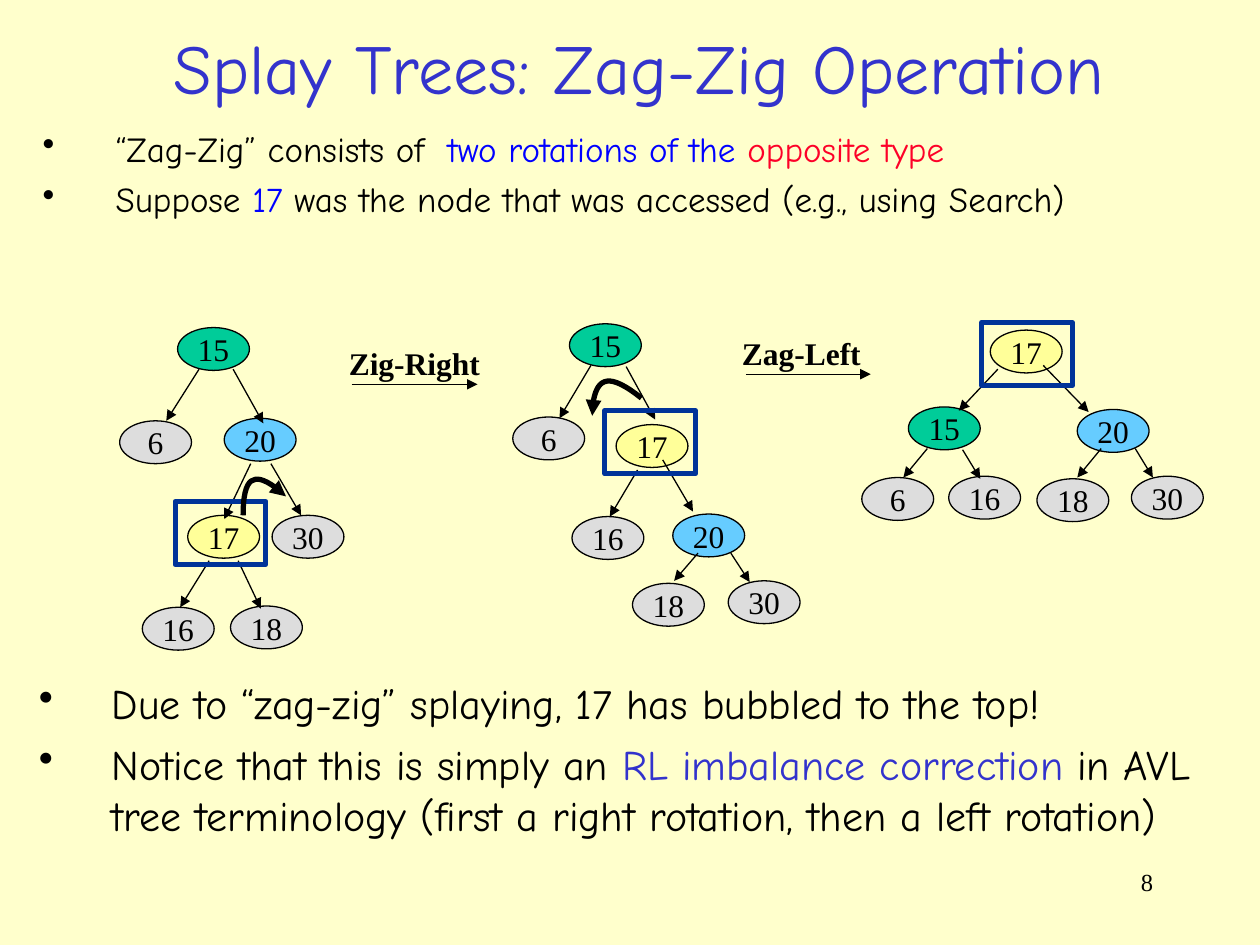
from dataclasses import dataclass
from typing import NamedTuple

from lxml.etree import SubElement
from pptx import Presentation
from pptx.dml.color import RGBColor
from pptx.enum.shapes import MSO_CONNECTOR, MSO_SHAPE
from pptx.enum.text import MSO_ANCHOR, MSO_AUTO_SIZE, PP_ALIGN
from pptx.oxml.ns import qn
from pptx.util import Emu, Pt

SCALE = 9144  # 100 px to the inch


@dataclass(frozen=True)
class Theme:
    background: str = "FFFFCC"
    ink: str = "000000"
    title: str = "3333CC"
    blue: str = "0000FF"
    red: str = "FD0128"
    focus: str = "003399"
    leaf: str = "DDDDDD"
    hand: str = "Comic Neue"
    serif: str = "Times New Roman"
    title_size: int = 40
    intro_size: int = 20
    outro_size: int = 24
    node_size: int = 18
    number_size: int = 14
    thin: float = 0.75
    thick: float = 3


T = Theme()
NODE_FILLS = {15: "00CC99", 17: "FFFF99", 20: "66CCFF"}
NODE_W, NODE_H = 57, 34
FOCUS_W, FOCUS_H = 72, 50
INDENT = 58


class Run(NamedTuple):
    text: str
    color: str = T.ink


class Node(NamedTuple):
    key: int
    x: int
    y: int


class Edge(NamedTuple):
    x1: int
    y1: int
    x2: int
    y2: int


class Tree(NamedTuple):
    nodes: list[Node]
    edges: list[Edge]
    focus: tuple[int, int]


class Step(NamedTuple):
    text: str
    box: tuple[int, int, int, int]
    arrow: Edge


class Turn(NamedTuple):
    points: list[tuple[int, int]]  # start, two controls, end
    end: str


TREES = [
    Tree([Node(15, 141, 260), Node(6, 95, 334), Node(20, 178, 332), Node(30, 216, 409),
          Node(17, 149, 409), Node(16, 113, 482), Node(18, 183, 481)],
         [Edge(158, 293, 132, 334), Edge(185, 293, 209, 336), Edge(215, 368, 239, 409),
          Edge(199, 368, 178, 412), Edge(166, 445, 143, 482), Edge(189, 445, 207, 483)],
         (139, 398)),
    Tree([Node(15, 452, 257), Node(6, 407, 331), Node(20, 534, 408), Node(30, 578, 461),
          Node(17, 489, 337), Node(16, 454, 410), Node(18, 502, 463)],
         [Edge(469, 290, 444, 332), Edge(497, 291, 520, 333), Edge(526, 365, 550, 406),
          Edge(506, 373, 484, 410), Edge(580, 439, 595, 462), Edge(554, 439, 535, 461)],
         (480, 326)),
    Tree([Node(15, 721, 323), Node(6, 684, 379), Node(20, 855, 325), Node(30, 898, 378),
          Node(17, 786, 262), Node(16, 753, 378), Node(18, 823, 380)],
         [Edge(828, 290, 864, 327), Edge(792, 293, 761, 326), Edge(901, 356, 915, 379),
          Edge(874, 356, 855, 379), Edge(736, 356, 717, 379), Edge(764, 357, 778, 380)],
         (779, 256)),
]
STEPS = [
    Step("Zig-Right", (267, 268, 124, 40), Edge(279, 305, 379, 305)),
    Step("Zag-Left", (579, 260, 114, 40), Edge(592, 297, 691, 297)),
]
TURNS = [
    Turn([(193, 409), (193, 378), (205, 373), (227, 394)], "tailEnd"),
    Turn([(470, 330), (470, 300), (484, 296), (509, 316)], "headEnd"),
]
INTRO = [
    [Run("“Zag-Zig” consists of  "), Run("two rotations of the ", T.blue),
     Run("opposite type", T.red)],
    [Run("Suppose "), Run("17 ", T.blue),
     Run("was the node that was accessed (e.g., using Search)")],
]
OUTRO = [
    [Run("Due to “zag-zig” splaying, 17 has bubbled to the top!")],
    [Run("Notice that this is simply an "), Run("RL imbalance correction", T.title),
     Run(" in AVL tree terminology (first a right rotation, then a left rotation)")],
]


def px(n: int) -> Emu:
    return Emu(n * SCALE)


def rgb(code: str) -> RGBColor:
    return RGBColor.from_string(code)


def write(sp, paragraphs: list[list[Run]], *, size: int, font: str = T.serif,
          bold: bool = False, align=PP_ALIGN.LEFT, anchor=MSO_ANCHOR.TOP,
          wrap: bool = True, before: int = 0, bullet: bool = False) -> None:
    tf = sp.text_frame
    tf.word_wrap, tf.vertical_anchor = wrap, anchor
    tf.auto_size = MSO_AUTO_SIZE.NONE
    for i, runs in enumerate(paragraphs):
        p = tf.add_paragraph() if i else tf.paragraphs[0]
        p.alignment, p.space_before = align, Pt(before)
        if bullet:
            pPr = p._p.get_or_add_pPr()
            pPr.set("marL", str(px(INDENT)))
            pPr.set("indent", str(px(-INDENT)))
            SubElement(pPr, qn("a:buChar")).set("char", "•")
        for run in runs:
            r = p.add_run()
            r.text = run.text
            r.font.size, r.font.name, r.font.bold = Pt(size), font, bold
            r.font.color.rgb = rgb(run.color)


def add_text(s, box: tuple[int, int, int, int], paragraphs: list[list[Run]], **fmt) -> None:
    write(s.shapes.add_textbox(*map(px, box)), paragraphs, **fmt)


def style(sp, fill: str | None, line: str, width: float) -> None:
    sp.shadow.inherit = False
    if fill:
        sp.fill.solid()
        sp.fill.fore_color.rgb = rgb(fill)
    else:
        sp.fill.background()
    sp.line.color.rgb, sp.line.width = rgb(line), Pt(width)


def add_head(sp, end: str) -> None:
    SubElement(sp.line._get_or_add_ln(), qn(f"a:{end}")).set("type", "triangle")


def add_arrow(s, edge: Edge) -> None:
    c = s.shapes.add_connector(MSO_CONNECTOR.STRAIGHT, *map(px, edge))
    c.line.color.rgb, c.line.width = rgb(T.ink), Pt(T.thin)
    add_head(c, "tailEnd")
    SubElement(c._element.spPr, qn("a:effectLst"))


def add_tree(s, tree: Tree) -> None:
    for node in tree.nodes:
        sp = s.shapes.add_shape(MSO_SHAPE.OVAL, *map(px, (node.x, node.y, NODE_W, NODE_H)))
        style(sp, NODE_FILLS.get(node.key, T.leaf), T.ink, T.thin)
        write(sp, [[Run(str(node.key))]], size=T.node_size, align=PP_ALIGN.CENTER,
              anchor=MSO_ANCHOR.MIDDLE, wrap=False)
    for edge in tree.edges:
        add_arrow(s, edge)
    box = s.shapes.add_shape(MSO_SHAPE.RECTANGLE, *map(px, (*tree.focus, FOCUS_W, FOCUS_H)))
    style(box, None, T.focus, T.thick)


def add_turn(s, turn: Turn) -> None:
    builder = s.shapes.build_freeform(*turn.points[0], scale=SCALE)
    builder.add_line_segments(turn.points[1:], close=False)
    sp = builder.convert_to_shape()
    # Join the three segments into one Bézier curve
    segments = list(sp._element.iter(qn("a:lnTo")))
    curve = SubElement(segments[0].getparent(), qn("a:cubicBezTo"))
    for segment in segments:
        curve.append(segment[0])
        segment.getparent().remove(segment)
    style(sp, None, T.ink, T.thick)
    add_head(sp, turn.end)


def main() -> None:
    prs = Presentation()
    prs.slide_width, prs.slide_height = px(1000), px(750)
    s = prs.slides.add_slide(prs.slide_layouts[5])
    s.background.fill.solid()
    s.background.fill.fore_color.rgb = rgb(T.background)

    # Title and text
    title = s.shapes.title
    title.left, title.top, title.width, title.height = map(px, (30, 15, 954, 76))
    write(title, [[Run("Splay Trees: Zag-Zig Operation", T.title)]], size=T.title_size,
          font=T.hand, align=PP_ALIGN.CENTER, anchor=MSO_ANCHOR.MIDDLE)
    add_text(s, (24, 96, 937, 119), INTRO, size=T.intro_size, font=T.hand,
             before=5, bullet=True)
    add_text(s, (21, 533, 945, 152), OUTRO, size=T.outro_size, font=T.hand,
             before=6, bullet=True)

    # Trees, steps between them and rotation arrows
    for tree in TREES:
        add_tree(s, tree)
    for step in STEPS:
        add_arrow(s, step.arrow)
        add_text(s, step.box, [[Run(step.text)]], size=T.node_size, bold=True, wrap=False)
    for turn in TURNS:
        add_turn(s, turn)

    # Page number
    add_text(s, (717, 683, 208, 50), [[Run("8")]], size=T.number_size, align=PP_ALIGN.RIGHT)
    prs.save("out.pptx")


if __name__ == "__main__":
    main()
